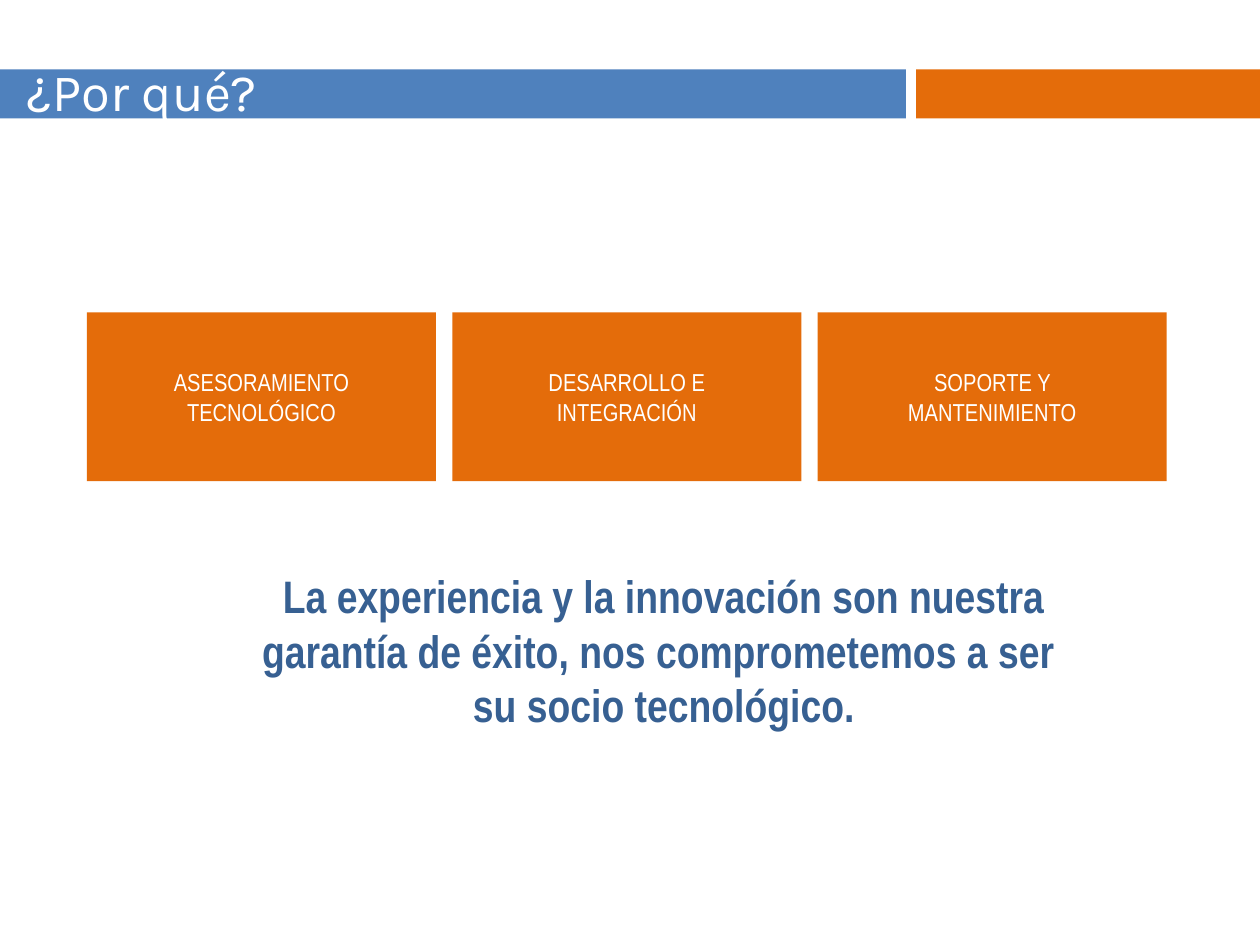
from dataclasses import dataclass

from pptx import Presentation
from pptx.dml.color import RGBColor
from pptx.enum.shapes import MSO_SHAPE
from pptx.enum.text import MSO_ANCHOR, MSO_AUTO_SIZE, PP_ALIGN
from pptx.util import Inches, Pt

RECT = MSO_SHAPE.RECTANGLE
LEFT, CENTER = PP_ALIGN.LEFT, PP_ALIGN.CENTER
TOP, NO_FIT = MSO_ANCHOR.TOP, MSO_AUTO_SIZE.NONE


@dataclass(frozen=True)
class Theme:
    blue: RGBColor = RGBColor(0x4F, 0x81, 0xBD)
    navy: RGBColor = RGBColor(0x37, 0x60, 0x92)
    orange: RGBColor = RGBColor(0xE4, 0x6C, 0x0A)
    white: RGBColor = RGBColor(0xFF, 0xFF, 0xFF)
    title_font: str = "Karla"
    body_font: str = "Arial Narrow"
    title_size: int = 30
    statement_size: int = 26
    label_size: int = 14


THEME = Theme()

# Header band and grid of cards, in inches
BAND_TOP, BAND_HEIGHT = 0.55, 0.39
CARD_LEFT, CARD_TOP, CARD_WIDTH, CARD_HEIGHT = 0.69, 2.48, 2.77, 1.34
CARD_PITCH = 2.9
LABEL_HEIGHT = 0.57

# Label of each card and the width of its text
CARDS = [
    ("ASESORAMIENTO TECNOLÓGICO", 2.75),
    ("DESARROLLO E INTEGRACIÓN", 2.52),
    ("SOPORTE Y MANTENIMIENTO", 2.05),
]
STATEMENT = [
    "La experiencia y la innovación son nuestra garantía de éxito, "
    "nos comprometemos a ser ",
    "su socio tecnológico.",
]


def inches(*lengths):
    return [Inches(length) for length in lengths]


def add_block(s, x, y, w, h, color):
    """Add a plain filled rectangle."""
    block = s.shapes.add_shape(RECT, *inches(x, y, w, h))
    block.shadow.inherit = False
    block.fill.solid()
    block.fill.fore_color.rgb = color
    block.line.fill.background()
    return block


def write(tf, lines, font, size, color, align=CENTER, bold=False):
    """Fill a text frame with one paragraph per line."""
    tf.word_wrap = True
    tf.auto_size = NO_FIT
    tf.vertical_anchor = TOP
    for i, line in enumerate(lines):
        p = tf.paragraphs[0] if i == 0 else tf.add_paragraph()
        p.text = line
        p.alignment = align
        p.font.name = font
        p.font.size = Pt(size)
        p.font.bold = bold
        p.font.color.rgb = color


def add_text(s, x, y, w, h, lines, size, color, bold=False):
    box = s.shapes.add_textbox(*inches(x, y, w, h))
    write(box.text_frame, lines, THEME.body_font, size, color, bold=bold)


def add_header(s, text):
    """Place the title over a two-coloured band."""
    title = s.shapes.title
    title.left, title.top, title.width, title.height = inches(0.11, 0.42, 3.09, 0.61)
    write(title.text_frame, [text], THEME.title_font, THEME.title_size,
          THEME.white, align=LEFT)
    for x, width, color in [(-0.01, 7.2, THEME.blue), (7.27, 2.75, THEME.orange)]:
        band = add_block(s, x, BAND_TOP, width, BAND_HEIGHT, color)
        title.element.addprevious(band.element)  # keep the band behind the title


def add_card(s, column, label, label_width):
    """Add a card with its label centred across it."""
    x = CARD_LEFT + column * CARD_PITCH
    add_block(s, x, CARD_TOP, CARD_WIDTH, CARD_HEIGHT, THEME.orange)
    add_text(s, x + (CARD_WIDTH - label_width) / 2,
             CARD_TOP + (CARD_HEIGHT - LABEL_HEIGHT) / 2,
             label_width, LABEL_HEIGHT, [label], THEME.label_size, THEME.white)


def main():
    prs = Presentation()
    prs.slide_width, prs.slide_height = inches(10, 7.5)
    s = prs.slides.add_slide(prs.slide_layouts.get_by_name("Title Only"))

    add_header(s, "¿Por qué?")
    add_text(s, 1.77, 4.46, 7, 1.41, STATEMENT, THEME.statement_size,
             THEME.navy, bold=True)
    for column, (label, label_width) in enumerate(CARDS):
        add_card(s, column, label, label_width)

    prs.save("out.pptx")


if __name__ == "__main__":
    main()
